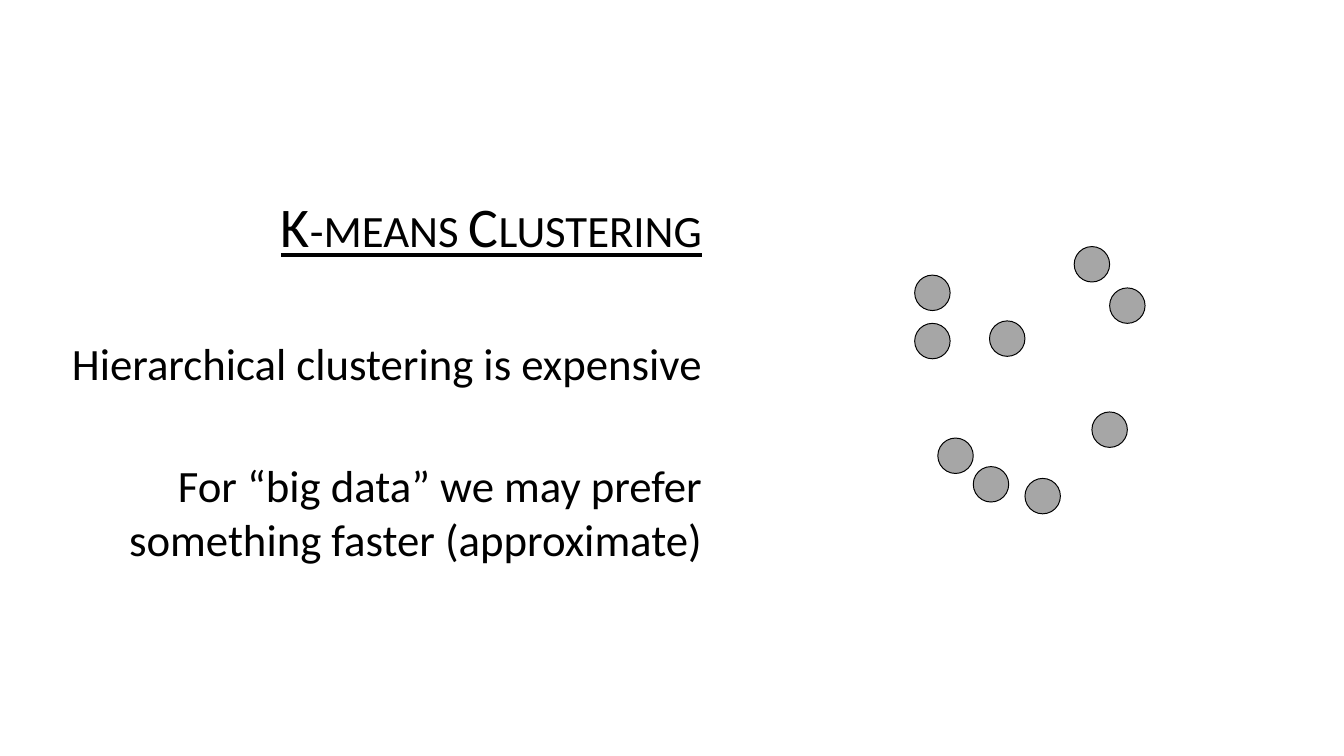
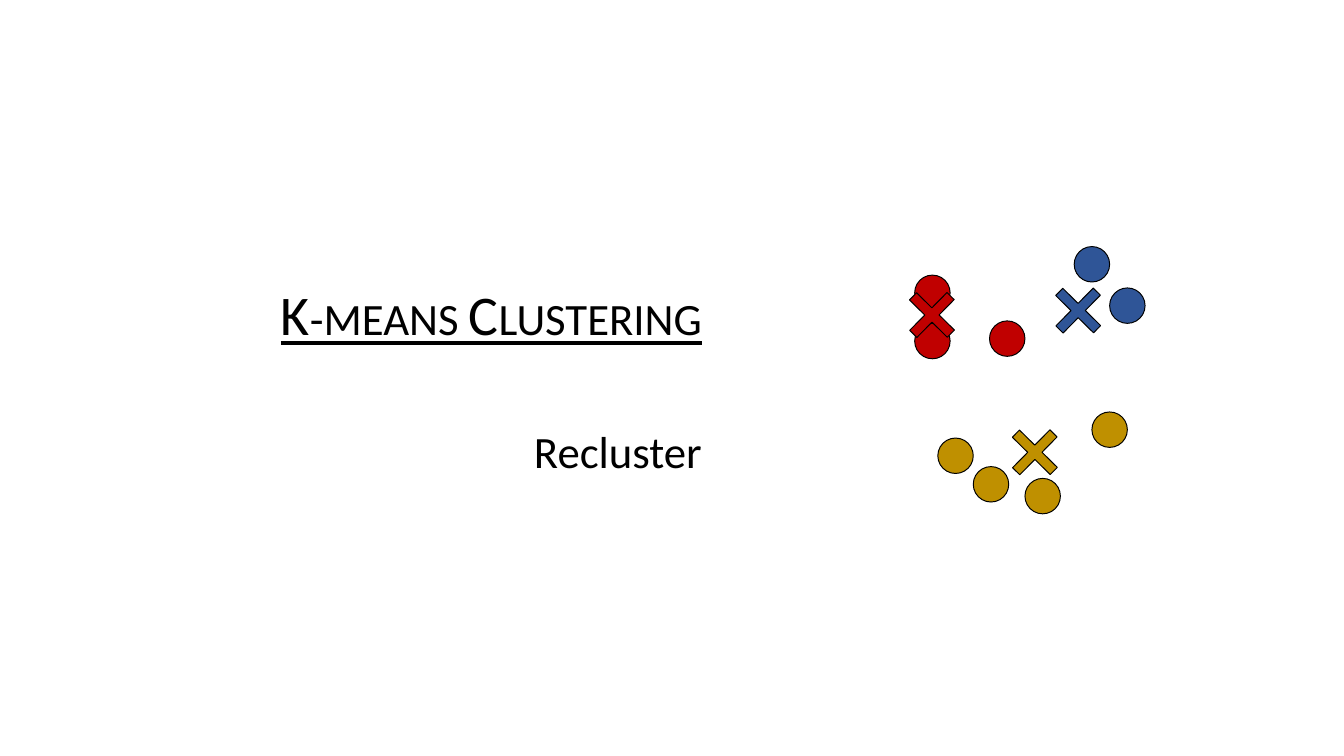
from pptx import Presentation
from pptx.dml.color import RGBColor
from pptx.enum.shapes import MSO_SHAPE
from pptx.enum.text import MSO_ANCHOR, PP_ALIGN
from pptx.util import Pt

BLACK = RGBColor(0x00, 0x00, 0x00)
GRAY = RGBColor(0xA6, 0xA6, 0xA6)
RED = RGBColor(0xC0, 0x00, 0x00)
BLUE = RGBColor(0x2F, 0x55, 0x97)
GOLD = RGBColor(0xBF, 0x90, 0x00)
FONT = "Calibri"

# Content: texts, data points (left, top, cluster) and cluster centers
TITLE = "K-means Clustering"
POINTS = [
    (929, 279.5, RED), (952.5, 445, GOLD), (1041, 486, GOLD),
    (1091, 250.5, BLUE), (1109, 418.5, GOLD), (988.5, 474, GOLD),
    (1005, 326, RED), (1127, 292.5, BLUE), (929, 328.5, RED),
]
CENTERS = [(919.5, 293, RED), (1068, 288.5, BLUE), (1024, 432.5, GOLD)]
SLIDES = [
    {
        "lines": [
            "Hierarchical clustering is expensive",
            "For “big data” we may prefer something faster (approximate)",
        ],
        "clustered": False,
    },
    {"lines": ["Recluster"], "clustered": True},
]

# Measures in points
PAGE_SIZE = (1365, 768)
TEXT_AREA = (0, 93, 720, 582.5)
TITLE_SIZE, BODY_SIZE = 56.9, 45.5
TITLE_GAP, LINE_GAP = 8.5, 69.5
POINT_SIZE, CENTER_SIZE = 36, 54


def add_line(para, text, size):
    para.alignment = PP_ALIGN.RIGHT
    span = para.add_run()
    span.text = text
    span.font.name = FONT
    span.font.size = Pt(size)
    span.font.color.rgb = BLACK
    return span


def add_text(page, lines):
    box = page.shapes.add_textbox(*map(Pt, TEXT_AREA))
    frame = box.text_frame
    frame.word_wrap = True
    frame.vertical_anchor = MSO_ANCHOR.MIDDLE

    # Underlined title in small capitals
    heading = frame.paragraphs[0]
    heading.space_after = Pt(TITLE_GAP)
    span = add_line(heading, TITLE, TITLE_SIZE)
    span.font.underline = True
    span.font._element.set("cap", "small")

    # Body lines
    for line in lines:
        para = frame.add_paragraph()
        para.space_before = Pt(LINE_GAP)
        add_line(para, line, BODY_SIZE)


def add_marker(page, kind, left, top, size, color):
    marker = page.shapes.add_shape(kind, Pt(left), Pt(top), Pt(size), Pt(size))
    marker.shadow.inherit = False
    marker.fill.solid()
    marker.fill.fore_color.rgb = color
    marker.line.color.rgb = BLACK
    marker.line.width = Pt(1)
    return marker


def main():
    deck = Presentation()
    deck.slide_width, deck.slide_height = map(Pt, PAGE_SIZE)
    for content in SLIDES:
        page = deck.slides.add_slide(deck.slide_layouts[6])
        add_text(page, content["lines"])

        # Data points, colored once they belong to a cluster
        for left, top, cluster in POINTS:
            color = cluster if content["clustered"] else GRAY
            add_marker(page, MSO_SHAPE.OVAL, left, top, POINT_SIZE, color)

        # Cluster centers as diagonal crosses
        if content["clustered"]:
            for left, top, color in CENTERS:
                cross = add_marker(page, MSO_SHAPE.CROSS, left, top, CENTER_SIZE, color)
                cross.adjustments[0] = 0.405
                cross.rotation = 44.6
    deck.save("out.pptx")


if __name__ == "__main__":
    main()
